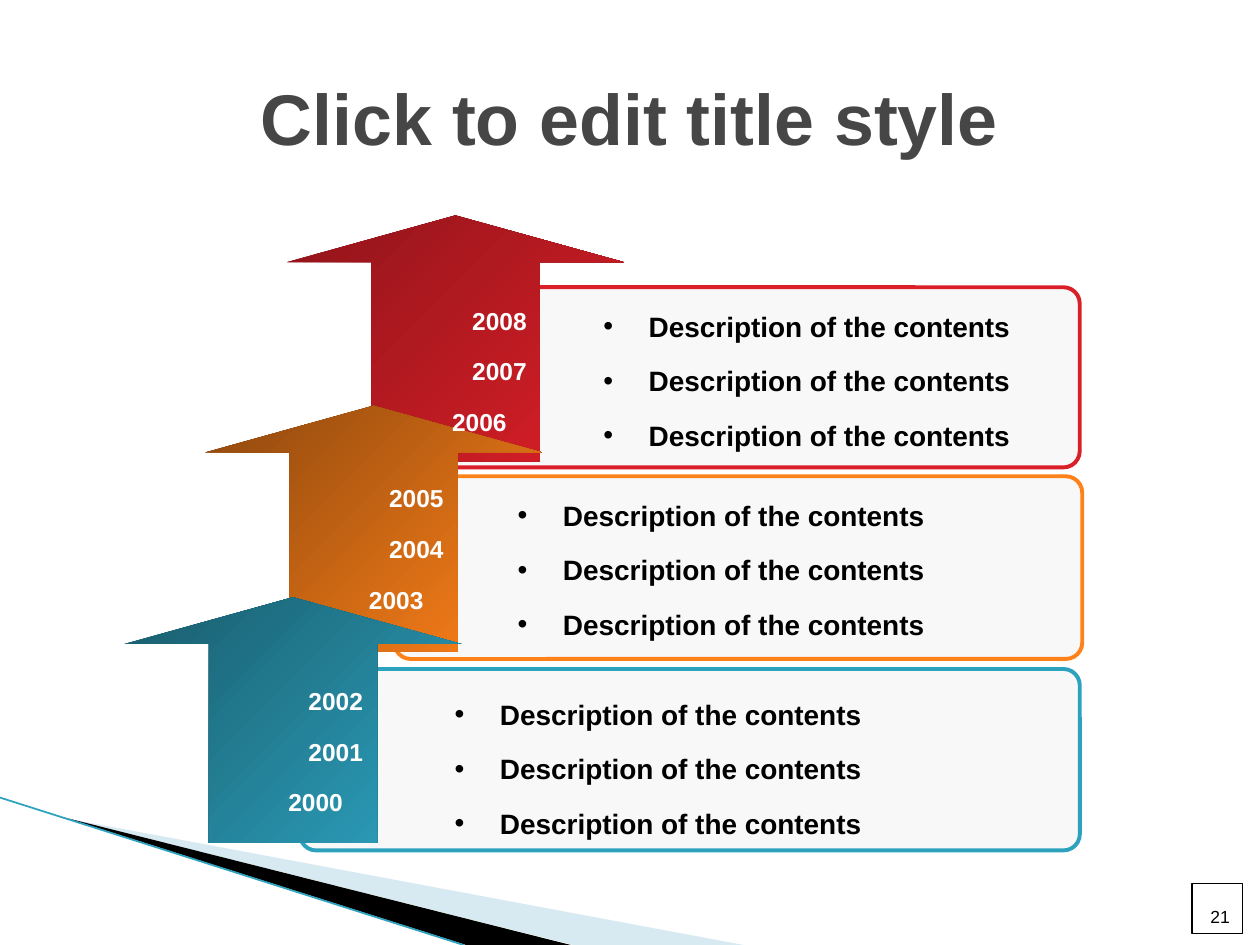
from lxml.etree import SubElement
from pptx import Presentation
from pptx.dml.color import RGBColor
from pptx.enum.shapes import MSO_CONNECTOR, MSO_SHAPE
from pptx.enum.text import MSO_ANCHOR, PP_ALIGN
from pptx.oxml.ns import qn
from pptx.util import Inches, Pt

WHITE = RGBColor(0xFF, 0xFF, 0xFF)
BLACK = RGBColor(0x00, 0x00, 0x00)
TITLE_GRAY = RGBColor(0x46, 0x46, 0x46)
CARD_GRAY = RGBColor(0xF8, 0xF8, 0xF8)
PALE_BLUE = RGBColor(0x9D, 0xCA, 0xDC)
RED = RGBColor(0xDA, 0x1F, 0x28)
DARK_RED = RGBColor(0x90, 0x14, 0x1A)
ORANGE = RGBColor(0xFF, 0x81, 0x19)
DARK_ORANGE = RGBColor(0x8E, 0x48, 0x0E)
TEAL = RGBColor(0x2D, 0xA2, 0xBF)
DARK_TEAL = RGBColor(0x19, 0x5C, 0x6C)

presentation = Presentation()
presentation.slide_width = Inches(10)
presentation.slide_height = Inches(7.5)
slide = presentation.slides.add_slide(presentation.slide_layouts[6])
shapes = slide.shapes
column = presentation.slide_width / 100
row = presentation.slide_height / 75


def grid(*lengths):
    return [round(length * (row if index % 2 else column)) for index, length in enumerate(lengths)]


def write_text(shape, lines, size, color=BLACK, bold=True, align=PP_ALIGN.LEFT, anchor=MSO_ANCHOR.TOP,
               line_spacing=1.0, space_before=0, bullet_indent=0, last_right_margin=0):
    frame = shape.text_frame
    frame.word_wrap = True
    frame.vertical_anchor = anchor
    for index, line in enumerate(lines):
        paragraph = frame.add_paragraph() if index else frame.paragraphs[0]
        paragraph.text = line
        properties = paragraph._p.get_or_add_pPr()
        if bullet_indent:
            properties.set("marL", str(round(bullet_indent * column)))
            properties.set("indent", str(round(-bullet_indent * column)))
            SubElement(properties, qn("a:buFont"), typeface="Arial")
            SubElement(properties, qn("a:buChar"), char="•")
        if last_right_margin and index == len(lines) - 1:
            properties.set("marR", str(round(last_right_margin * column)))
        paragraph.alignment = align
        paragraph.line_spacing = line_spacing
        if index:
            paragraph.space_before = Pt(space_before)
        paragraph.font.name = "Arial"
        paragraph.font.size = Pt(size)
        paragraph.font.bold = bold
        paragraph.font.color.rgb = color


wedges = [
    (PALE_BLUE, 40, [(5.5, 65), (59, 75), (45.5, 75)]),
    (BLACK, 100, [(5.2, 64.9), (45.3, 75), (37, 75)]),
]
for color, opacity, corners in wedges:
    points = [grid(*corner) for corner in corners]
    builder = shapes.build_freeform(*points[0], scale=1.0)
    builder.add_line_segments(points[1:], close=True)
    wedge = builder.convert_to_shape()
    wedge.shadow.inherit = False
    wedge.fill.solid()
    wedge.fill.fore_color.rgb = color
    wedge.line.fill.background()
    if opacity < 100:
        fill_color = wedge.fill._xPr.find(qn("a:solidFill"))[0]
        SubElement(fill_color, qn("a:alpha"), val=str(opacity * 1000))

edge = shapes.add_connector(MSO_CONNECTOR.STRAIGHT, *grid(0, 63.3, 36.8, 75))
edge.line.color.rgb = TEAL
edge.line.width = Pt(1)
SubElement(edge._element.spPr, qn("a:effectLst"))

title = shapes.add_textbox(*grid(5, 3, 90, 12.5))
write_text(title, ["Click to edit title style"], 41, color=TITLE_GRAY,
           align=PP_ALIGN.CENTER, anchor=MSO_ANCHOR.MIDDLE)

steps = [
    (RED, DARK_RED, (31.1, 22.8, 54.6, 14.3), (22.8, 17.1), (34.5, 23.3), (46.9, 23.8),
     ["2008", "2007", "2006"]),
    (ORANGE, DARK_ORANGE, (31.3, 37.8, 54.6, 14.5), (16.3, 32.2), (27.9, 37.4), (40.1, 38.8),
     ["2005", "2004", "2003"]),
    (TEAL, DARK_TEAL, (23.8, 53.1, 61.9, 14.4), (9.9, 47.4), (21.5, 53.5), (35.1, 54.6),
     ["2002", "2001", "2000"]),
]

for color, dark_color, card_box, arrow_corner, *_ in steps:
    card = shapes.add_shape(MSO_SHAPE.ROUNDED_RECTANGLE, *grid(*card_box))
    card.adjustments[0] = 0.09
    card.shadow.inherit = False
    card.fill.solid()
    card.fill.fore_color.rgb = CARD_GRAY
    card.line.color.rgb = color
    card.line.width = Pt(2.25)

    arrow = shapes.add_shape(MSO_SHAPE.UP_ARROW, *grid(*arrow_corner, 26.7, 19.5))
    arrow.adjustments[0] = 0.5
    arrow.adjustments[1] = 0.19
    arrow.shadow.inherit = False
    arrow.line.fill.background()
    arrow.fill.gradient()
    arrow.fill.gradient_angle = 315
    for stop, stop_color in zip(arrow.fill.gradient_stops, (dark_color, color)):
        stop.color.rgb = stop_color

for *_, years_corner, description_corner, years in steps:
    years_box = shapes.add_textbox(*grid(*years_corner, 8.3, 14.7))
    write_text(years_box, years, 14, color=WHITE, align=PP_ALIGN.RIGHT,
               line_spacing=1.2, space_before=8.8, last_right_margin=1.6)
    description_box = shapes.add_textbox(*grid(*description_corner, 37.2, 12.6))
    write_text(description_box, ["Description of the contents"] * 3, 16,
               line_spacing=1.1, space_before=10, bullet_indent=3.6)

page_number = shapes.add_shape(MSO_SHAPE.RECTANGLE, *grid(94.6, 70.1, 4, 4))
page_number.shadow.inherit = False
page_number.fill.solid()
page_number.fill.fore_color.rgb = WHITE
page_number.line.color.rgb = BLACK
page_number.line.width = Pt(0.75)
write_text(page_number, ["21"], 10, bold=False, align=PP_ALIGN.RIGHT, anchor=MSO_ANCHOR.BOTTOM)

presentation.save("out.pptx")
